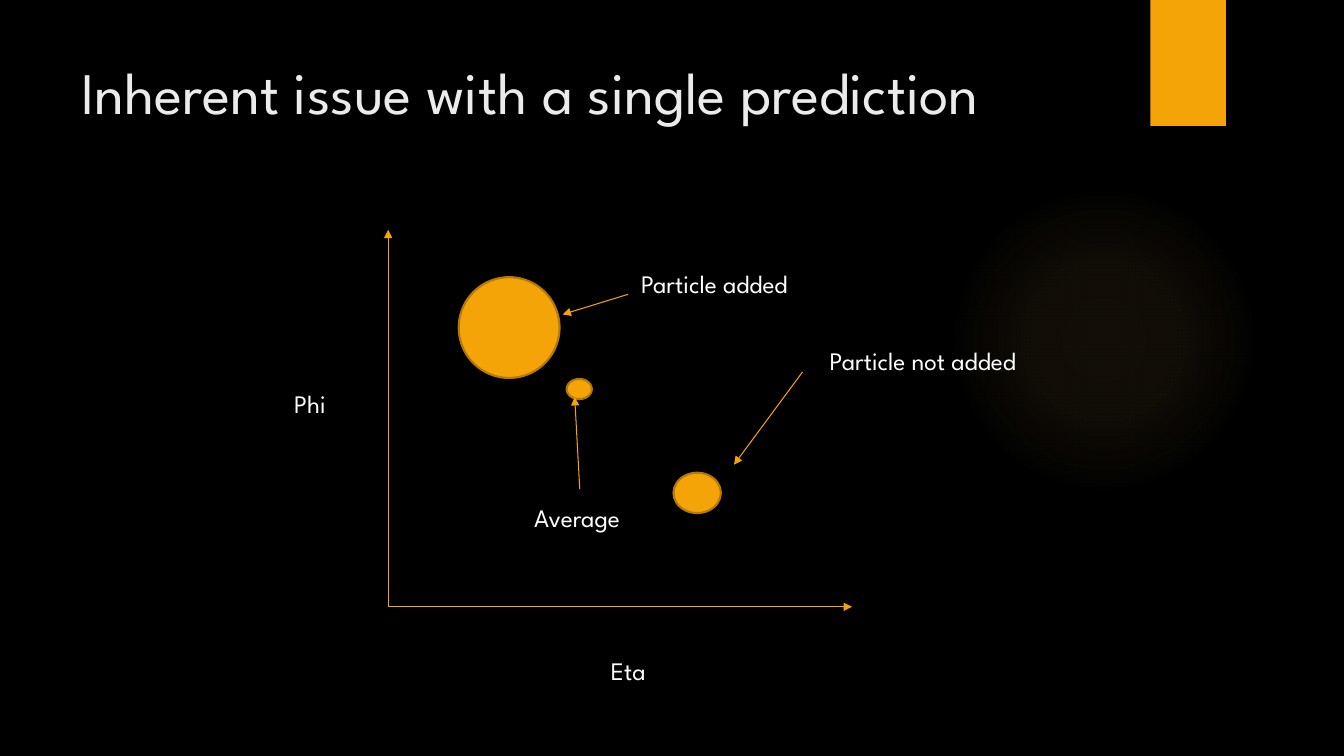
"""Build the slide on the inherent issue with a single prediction."""
from dataclasses import dataclass

from lxml import etree
from pptx import Presentation
from pptx.dml.color import RGBColor
from pptx.enum.shapes import MSO_CONNECTOR, MSO_SHAPE
from pptx.enum.text import MSO_ANCHOR, MSO_AUTO_SIZE
from pptx.oxml import parse_xml
from pptx.oxml.ns import nsdecls, qn
from pptx.util import Inches, Pt


@dataclass(frozen=True)
class Theme:
    font: str = "League Spartan"
    background: str = "000000"
    accent: str = "F5A408"
    outline: str = "B57906"
    glow: str = "FAC96A"
    title: str = "EBEBEB"
    label: str = "FFFFFF"
    title_size: int = 42
    label_size: int = 18
    arrow_width: float = 0.75
    outline_width: float = 1.5


theme = Theme()


def add_text(text, left, top, width, height=0.4, size=theme.label_size,
             color=theme.label, wrap=False):
    box = slide.shapes.add_textbox(Inches(left), Inches(top), Inches(width), Inches(height))
    frame = box.text_frame
    frame.word_wrap = wrap
    frame.auto_size = MSO_AUTO_SIZE.NONE if wrap else MSO_AUTO_SIZE.SHAPE_TO_FIT_TEXT
    frame.vertical_anchor = MSO_ANCHOR.TOP
    run = frame.paragraphs[0].add_run()
    run.text = text
    run.font.name = theme.font
    run.font.size = Pt(size)
    run.font.color.rgb = RGBColor.from_string(color)


def add_filled(kind, left, top, width, height, outline=None):
    shape = slide.shapes.add_shape(kind, Inches(left), Inches(top), Inches(width), Inches(height))
    shape.shadow.inherit = False
    shape.fill.solid()
    shape.fill.fore_color.rgb = RGBColor.from_string(theme.accent)
    if outline:
        shape.line.color.rgb = RGBColor.from_string(outline)
        shape.line.width = Pt(theme.outline_width)
    else:
        shape.line.fill.background()
    return shape


presentation = Presentation()
presentation.slide_width = Inches(13.33)
presentation.slide_height = Inches(7.5)
slide = presentation.slides.add_slide(presentation.slide_layouts[6])
slide.background.fill.solid()
slide.background.fill.fore_color.rgb = RGBColor.from_string(theme.background)

glow = add_filled(MSO_SHAPE.OVAL, 9.41, 1.83, 3.08, 3.08)
stops = "".join(
    f'<a:gs pos="{position * 1000}"><a:srgbClr val="{theme.glow}">'
    f'<a:alpha val="{opacity * 1000}"/></a:srgbClr></a:gs>'
    for position, opacity in ((0, 7), (36, 6), (69, 0))
)
gradient = parse_xml(
    f'<a:gradFill {nsdecls("a")} rotWithShape="1"><a:gsLst>{stops}</a:gsLst>'
    '<a:path path="circle"><a:fillToRect l="50000" t="50000" r="50000" b="50000"/></a:path>'
    '</a:gradFill>'
)
glow_properties = glow.element.spPr
glow_properties.replace(glow_properties.find(qn("a:solidFill")), gradient)

add_filled(MSO_SHAPE.RECTANGLE, 11.41, 0, 0.75, 1.25)
add_text("Inherent issue with a single prediction", 0.71, 0.5, 10.29, 1.53,
         size=theme.title_size, color=theme.title, wrap=True)

particles = (
    (4.55, 2.75, 1, 1),
    (6.68, 4.69, 0.47, 0.4),
    (5.62, 3.76, 0.25, 0.2),
)
for bounds in particles:
    add_filled(MSO_SHAPE.OVAL, *bounds, outline=theme.outline)

origin = (3.85, 6.02)
arrows = (
    (*origin, 3.85, 2.28),
    (*origin, 8.45, 6.02),
    (6.23, 2.92, 5.58, 3.12),
    (7.96, 3.69, 7.28, 4.61),
    (5.75, 4.85, 5.7, 3.94),
)
for ends in arrows:
    arrow = slide.shapes.add_connector(MSO_CONNECTOR.STRAIGHT, *map(Inches, ends))
    arrow.line.color.rgb = RGBColor.from_string(theme.accent)
    arrow.line.width = Pt(theme.arrow_width)
    etree.SubElement(arrow.line._get_or_add_ln(), qn("a:tailEnd"), type="triangle")
    etree.SubElement(arrow.element.spPr, qn("a:effectLst"))

labels = (
    ("Eta", 5.96, 6.45, 0.59),
    ("Phi", 2.82, 3.8, 0.56),
    ("Particle added", 6.26, 2.61, 2.04),
    ("Particle not added", 8.13, 3.38, 2.52),
    ("Average", 5.2, 4.93, 1.28),
)
for label in labels:
    add_text(*label)

presentation.save("out.pptx")
